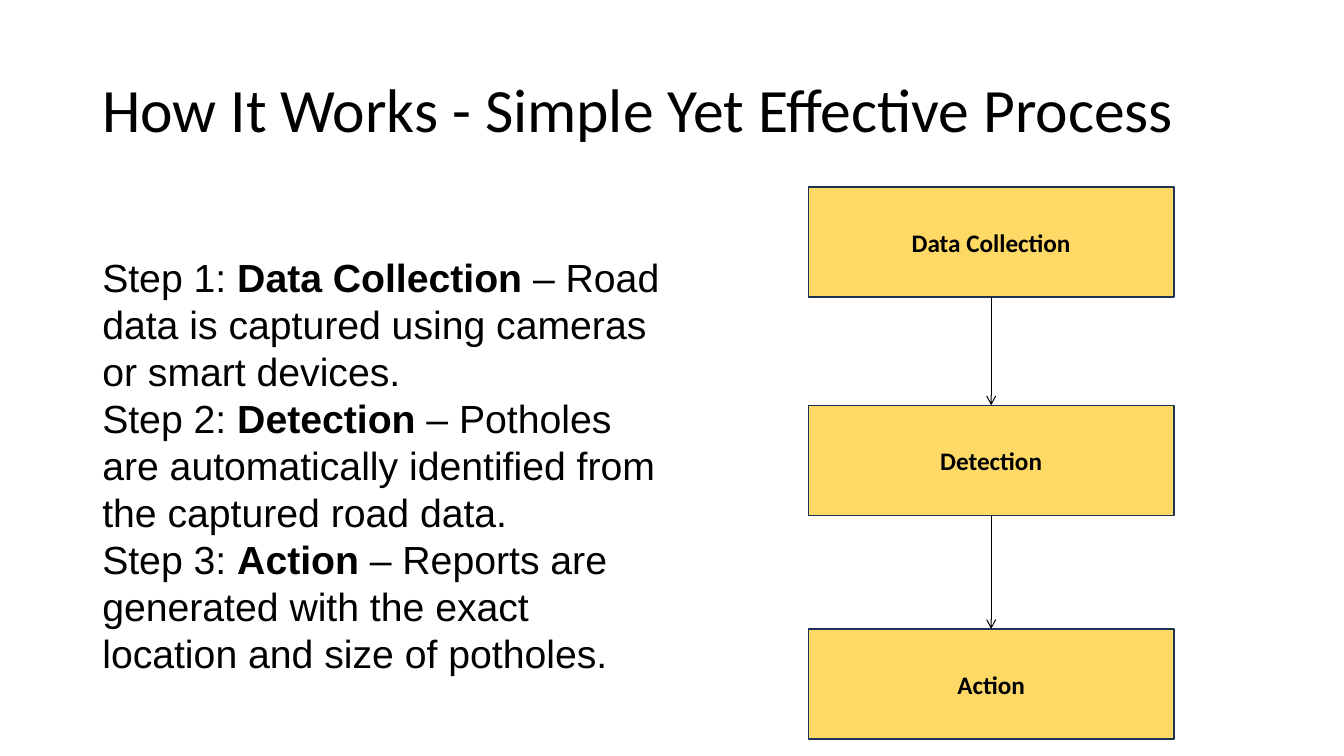
from dataclasses import dataclass
from itertools import pairwise

from lxml import etree
from pptx import Presentation
from pptx import util as u
from pptx.dml.color import RGBColor
from pptx.enum import shapes, text
from pptx.oxml import ns

PX = 9525


@dataclass(frozen=True)
class Theme:
    ink: RGBColor = RGBColor(0x00, 0x00, 0x00)
    stage_fill: RGBColor = RGBColor(0xFF, 0xD9, 0x66)
    stage_line: RGBColor = RGBColor(0x1E, 0x32, 0x56)
    heading_font: str = "Calibri"
    body_font: str = "Arial"
    title_size: int = 44
    body_size: int = 28
    stage_size: int = 18


@dataclass(frozen=True)
class Stage:
    name: str
    detail: str
    top: int


THEME = Theme()
STAGE_LEFT, STAGE_WIDTH, STAGE_HEIGHT = 770, 348, 105
STAGES = [
    Stage("Data Collection", "Road data is captured using cameras or smart devices.", 178),
    Stage("Detection", "Potholes are automatically identified from the captured road data.", 386),
    Stage("Action", "Reports are generated with the exact location and size of potholes.", 599),
]


def px(length: int) -> u.Emu:
    return u.Emu(length * PX)


def add_span(para, content: str, *, font: str, size: int, bold: bool = False) -> None:
    span = para.add_run()
    span.text = content
    span.font.name = font
    span.font.size = u.Pt(size)
    span.font.bold = bold
    span.font.color.rgb = THEME.ink


def add_text_frame(page, left: int, top: int, width: int, height: int):
    box = page.shapes.add_textbox(px(left), px(top), px(width), px(height))
    frame = box.text_frame
    frame.word_wrap = True
    frame.vertical_anchor = text.MSO_ANCHOR.MIDDLE
    return frame


def add_title(page) -> None:
    para = add_text_frame(page, 88, 38, 1104, 139).paragraphs[0]
    para.line_spacing = 0.9
    add_span(para, "How It Works - Simple Yet Effective Process",
             font=THEME.heading_font, size=THEME.title_size)


def add_steps(page) -> None:
    frame = add_text_frame(page, 88, 189, 552, 462)
    frame.margin_top = px(50)
    for number, stage in enumerate(STAGES, start=1):
        para = frame.paragraphs[0] if number == 1 else frame.add_paragraph()
        pieces = [(f"Step {number}: ", False), (stage.name, True), (f" – {stage.detail}", False)]
        for content, bold in pieces:
            add_span(para, content, font=THEME.body_font, size=THEME.body_size, bold=bold)


def add_stage(page, stage: Stage):
    box = page.shapes.add_shape(shapes.MSO_SHAPE.RECTANGLE, px(STAGE_LEFT), px(stage.top),
                                px(STAGE_WIDTH), px(STAGE_HEIGHT))
    box.shadow.inherit = False
    box.fill.solid()
    box.fill.fore_color.rgb = THEME.stage_fill
    box.line.color.rgb = THEME.stage_line
    box.line.width = u.Pt(1)
    box.text_frame.vertical_anchor = text.MSO_ANCHOR.MIDDLE
    para = box.text_frame.paragraphs[0]
    para.alignment = text.PP_ALIGN.CENTER
    add_span(para, stage.name, font=THEME.heading_font, size=THEME.stage_size, bold=True)
    return box


def add_arrow(page, source, target) -> None:
    """Join the bottom of the source box to the top of the target box."""
    center = source.left + source.width // 2
    arrow = page.shapes.add_connector(shapes.MSO_CONNECTOR.STRAIGHT,
                                      center, source.top + source.height, center, target.top)
    arrow.begin_connect(source, 2)
    arrow.end_connect(target, 0)
    arrow.line.color.rgb = THEME.ink
    arrow.line.width = u.Pt(0.75)
    properties = arrow.element.spPr
    outline = properties.find(ns.qn("a:ln"))
    etree.SubElement(outline, ns.qn("a:tailEnd"), type="arrow")
    etree.SubElement(properties, ns.qn("a:effectLst"))


def main() -> None:
    deck = Presentation()
    deck.slide_width, deck.slide_height = px(1280), px(720)
    page = deck.slides.add_slide(deck.slide_layouts[6])
    add_title(page)
    add_steps(page)
    boxes = [add_stage(page, stage) for stage in STAGES]
    for source, target in pairwise(boxes):
        add_arrow(page, source, target)
    deck.save("out.pptx")


if __name__ == "__main__":
    main()
